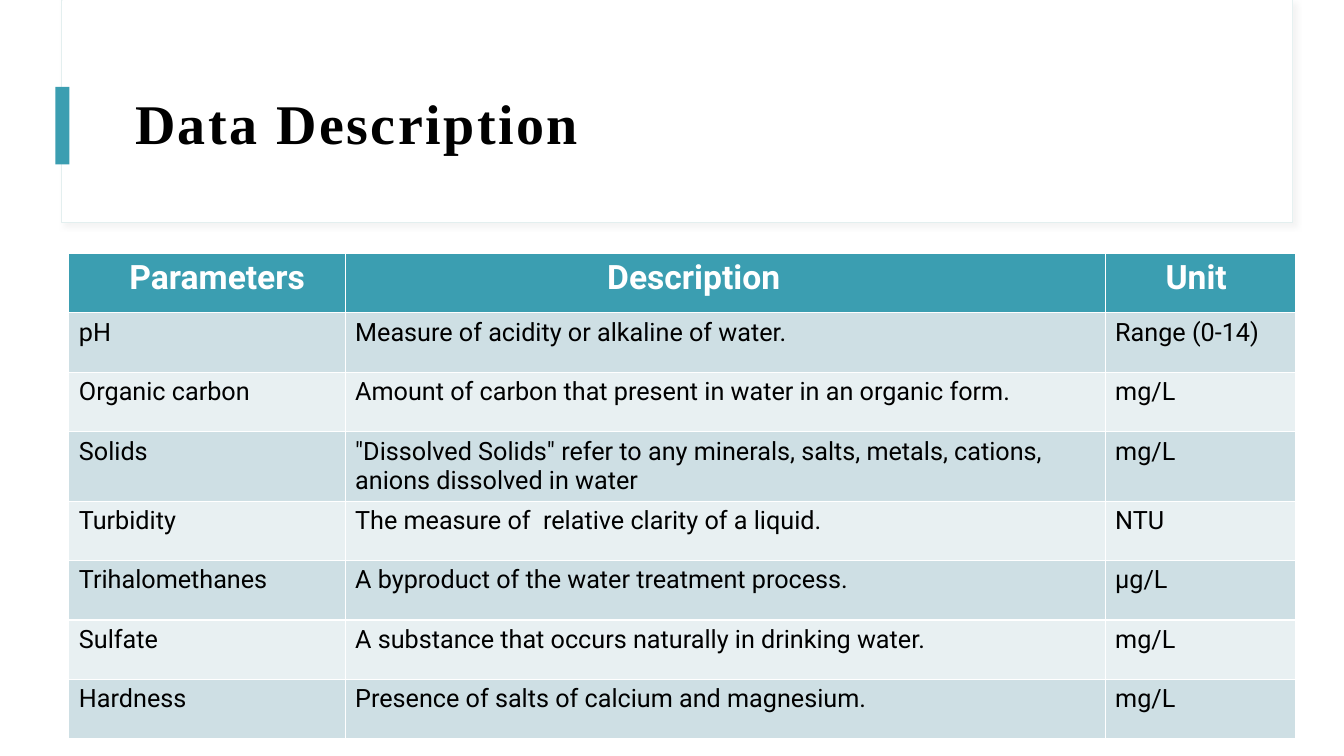
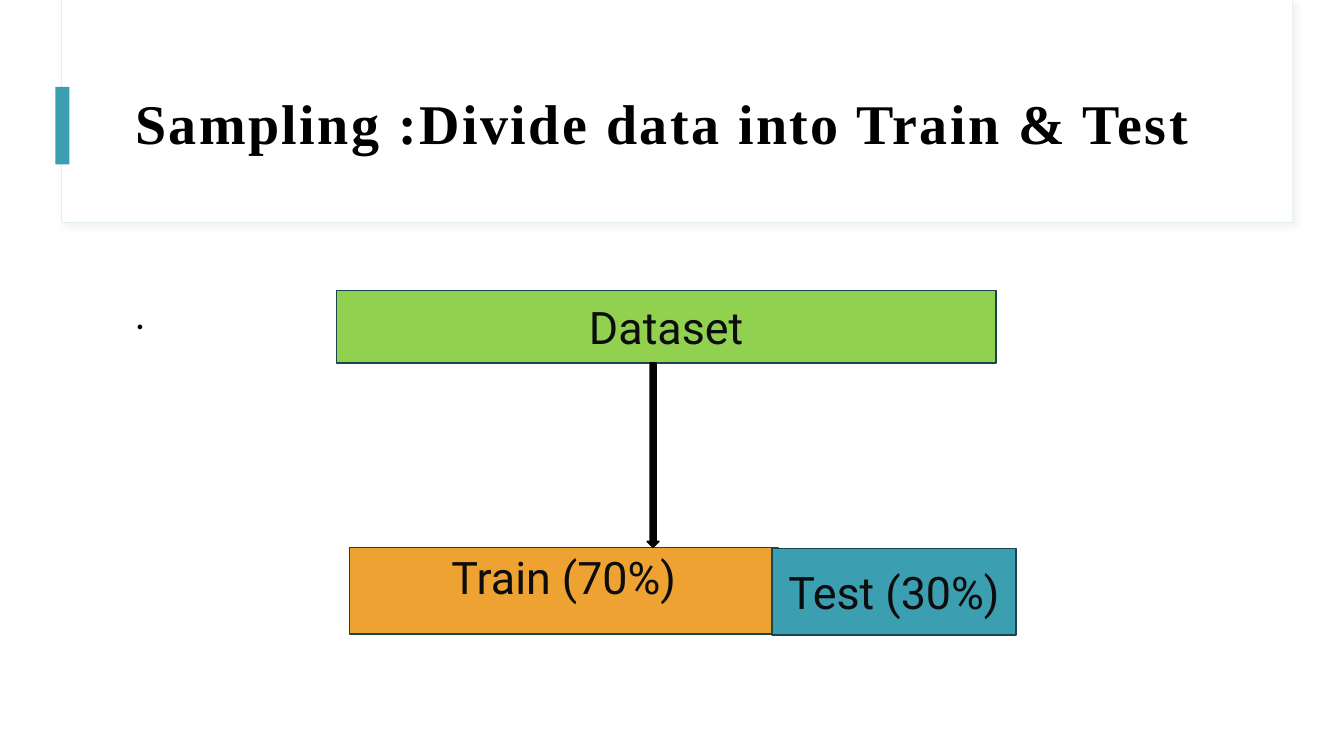
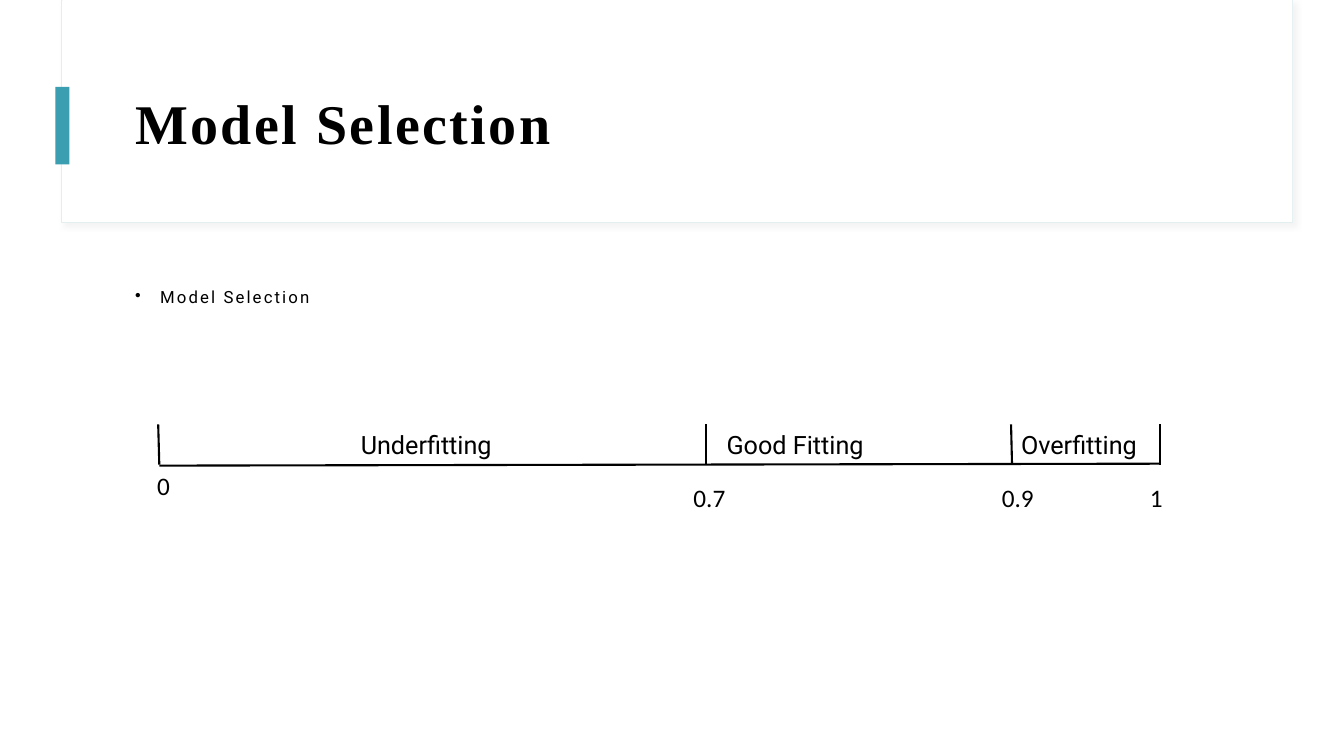
from lxml import etree
from pptx import Presentation
from pptx import util as u
from pptx.dml import color
from pptx.enum import shapes, text
from pptx.oxml import ns

Pt = u.Pt
COLOURS = {
    "white": "FFFFFF", "black": "000000", "ink": "0D0D0D", "teal": "3B9EB1",
    "frame": "E3EFEF", "shadow": "D9D9D9", "outline": "1A454E",
    "green": "92D050", "orange": "EDA232",
    "band_dark": "CEDFE4", "band_light": "E8F0F2",
}
TITLE_FONT, BODY_FONT, NUMBER_FONT = "Times New Roman", "Roboto", "Calibri"
RECT = shapes.MSO_SHAPE.RECTANGLE
MIDDLE, TOP = text.MSO_ANCHOR.MIDDLE, text.MSO_ANCHOR.TOP
LEFT, CENTER = text.PP_ALIGN.LEFT, text.PP_ALIGN.CENTER
WIDE_INSETS = (8.64, 8.64, 8.64, 7.2)


class Deck:
    def __init__(self):
        self.prs = Presentation()
        self.prs.slide_width, self.prs.slide_height = Pt(960), Pt(540)
        self.slide = None

    def rgb(self, name):
        return color.RGBColor.from_string(COLOURS[name])

    def sub(self, parent, tag, **attributes):
        return etree.SubElement(parent, ns.qn(tag), attributes)

    def say(self, paragraph, words, size, font=BODY_FONT, ink="black",
            bold=False, spacing=None, align=LEFT):
        paragraph.alignment = align
        run = paragraph.add_run()
        run.text = words
        run.font.size, run.font.name, run.font.bold = Pt(size), font, bold
        run.font.color.rgb = self.rgb(ink)
        if spacing:
            run._r.get_or_add_rPr().set("spc", str(spacing))

    def indent(self, paragraph, left, first=0):
        properties = paragraph._p.get_or_add_pPr()
        properties.set("marL", str(int(Pt(left))))
        properties.set("indent", str(int(Pt(first))))
        return properties

    def frame(self, holder, insets=(7.2, 3.6, 7.2, 3.6), anchor=TOP):
        frame = holder.text_frame
        frame.word_wrap = True
        frame.vertical_anchor = anchor
        (frame.margin_left, frame.margin_top,
         frame.margin_right, frame.margin_bottom) = map(Pt, insets)
        return frame

    def shape(self, box, fill, line=None, width=1, kind=RECT):
        shape = self.slide.shapes.add_shape(kind, *map(Pt, box))
        shape.shadow.inherit = False
        shape.fill.solid()
        shape.fill.fore_color.rgb = self.rgb(fill)
        if line:
            shape.line.color.rgb = self.rgb(line)
            shape.line.width = Pt(width)
        else:
            shape.line.fill.background()
        return shape

    def block(self, words, box, fill, top=None):
        shape = self.shape(box, fill, "outline")
        if top is None:
            frame = self.frame(shape, anchor=MIDDLE)
        else:
            frame = self.frame(shape, (7.2, top, 7.2, 3.6))
        self.say(frame.paragraphs[0], words, 32, ink="ink", align=CENTER)

    def soft_shadow(self, shape):
        effects = shape.element.spPr.find(ns.qn("a:effectLst"))
        shadow = self.sub(effects, "a:outerShdw", blurRad=str(int(Pt(4))),
                          dist=str(int(Pt(3))), dir="2700000", rotWithShape="0")
        tint = self.sub(shadow, "a:srgbClr", val=COLOURS["shadow"])
        self.sub(tint, "a:alpha", val="30000")

    def start(self, heading):
        self.slide = self.prs.slides.add_slide(self.prs.slide_layouts[5])
        header = self.shape((43.9, 0, 879.1, 159.1), "white", "frame", 0.75)
        self.soft_shadow(header)
        self.shape((44.6, 0, 878.4, 158.4), "white")
        self.shape((39.6, 62, 10, 55.4), "teal")
        title = self.slide.shapes.title
        self.slide.shapes.element.append(title.element)
        title.left, title.top, title.width, title.height = map(Pt, (87.8, 43.2, 800.6, 92.9))
        frame = self.frame(title, WIDE_INSETS, MIDDLE)
        frame.auto_size = text.MSO_AUTO_SIZE.NONE
        paragraph = frame.paragraphs[0]
        paragraph.line_spacing = 0.9
        self.say(paragraph, heading, 40, TITLE_FONT, bold=True, spacing=180)

    def body(self, words, size, font, bullet=False):
        box = self.slide.shapes.add_textbox(*map(Pt, (87.8, 195.1, 800.6, 290.9)))
        paragraph = self.frame(box, WIDE_INSETS).paragraphs[0]
        paragraph.line_spacing = 1.1
        paragraph.space_before = Pt(10)
        if bullet:
            self.sub(self.indent(paragraph, 18, -18), "a:buChar", char="•")
        self.say(paragraph, words, size, font, spacing=150)

    def label(self, words, left, top, width, font=BODY_FONT):
        box = self.slide.shapes.add_textbox(*map(Pt, (left, top, width, 29)))
        frame = self.frame(box)
        frame.auto_size = text.MSO_AUTO_SIZE.SHAPE_TO_FIT_TEXT
        self.say(frame.paragraphs[0], words, 18, font)

    def line(self, *ends):
        line = self.slide.shapes.add_connector(shapes.MSO_CONNECTOR.STRAIGHT, *map(Pt, ends))
        line.line.color.rgb = self.rgb("black")
        line.line.width = Pt(1.5)
        self.sub(line.element.spPr, "a:effectLst")

    def table(self, left, top, widths, row_height, headings, rows):
        count = len(rows) + 1
        table = self.slide.shapes.add_table(
            count, len(widths), Pt(left), Pt(top),
            Pt(sum(widths)), Pt(row_height * count)).table
        table.horz_banding = False
        for column, width in zip(table.columns, widths):
            column.width = Pt(width)
        for row in table.rows:
            row.height = Pt(row_height)
        for column, (words, margin) in enumerate(headings):
            paragraph = self.cell(table, 0, column, "teal")
            self.indent(paragraph, margin)
            self.say(paragraph, words, 24, ink="white", bold=True)
        for number, row in enumerate(rows, 1):
            fill = "band_dark" if number % 2 else "band_light"
            for column, words in enumerate(row):
                self.say(self.cell(table, number, column, fill), words, 18)

    def cell(self, table, row, column, fill):
        cell = table.cell(row, column)
        cell.fill.solid()
        cell.fill.fore_color.rgb = self.rgb(fill)
        return cell.text_frame.paragraphs[0]


def data_description(deck):
    deck.start("Data Description")
    deck.table(
        49.2, 181, (197.3, 542.9, 136.1), 42.5,
        (("Parameters", 36), ("Description", 180), ("Unit", 36)),
        (
            ("pH", "Measure of acidity or alkaline of water.", "Range (0-14)"),
            ("Organic carbon", "Amount of carbon that present in water in an organic form.", "mg/L"),
            ("Solids", '"Dissolved Solids" refer to any minerals, salts, metals, cations, '
                       "anions dissolved in water", "mg/L"),
            ("Turbidity", "The measure of  relative clarity of a liquid.", "NTU"),
            ("Trihalomethanes", "A byproduct of the water treatment process.", "µg/L"),
            ("Sulfate", "A substance that occurs naturally in drinking water.", "mg/L"),
            ("Hardness", "Presence of salts of calcium and magnesium.", "mg/L"),
        ))


def sampling(deck):
    deck.start("Sampling :Divide data into Train & Test")
    deck.body(".", 28, NUMBER_FONT)
    deck.block("Dataset", (240.5, 207.4, 470.9, 51.8), "green")
    deck.block("Train (70%)", (249.8, 391, 306, 61.9), "orange", top=1.5)
    deck.block("Test (30%)", (551.5, 391.7, 174.2, 61.9), "teal")
    deck.shape((462.2, 259.2, 8.6, 131.8), "black", "black",
               kind=shapes.MSO_SHAPE.DOWN_ARROW)


def model_selection(deck):
    deck.start("Model Selection")
    deck.body("Model Selection", 12, BODY_FONT, bullet=True)
    deck.line(113.8, 332.6, 828, 331.2)
    for tick_top, tick_foot in ((113, 113.8), (504, 504), (722.2, 722.9), (828.7, 828.7)):
        deck.line(tick_top, 303.1, tick_foot, 331.9)
    for score, left, top, width in (("0", 105.1, 332.6, 29.5), ("0.7", 488.2, 340.6, 46),
                                    ("0.9", 708.5, 340.6, 40.3), ("1", 814.3, 340.6, 29.5)):
        deck.label(score, left, top, width, NUMBER_FONT)
    for fit, left in (("Underfitting", 250.6), ("Good Fitting", 511.9), ("Overfitting", 722.2)):
        deck.label(fit, left, 303.1, 171.4)


def main():
    deck = Deck()
    data_description(deck)
    sampling(deck)
    model_selection(deck)
    deck.prs.save("out.pptx")


if __name__ == "__main__":
    main()
